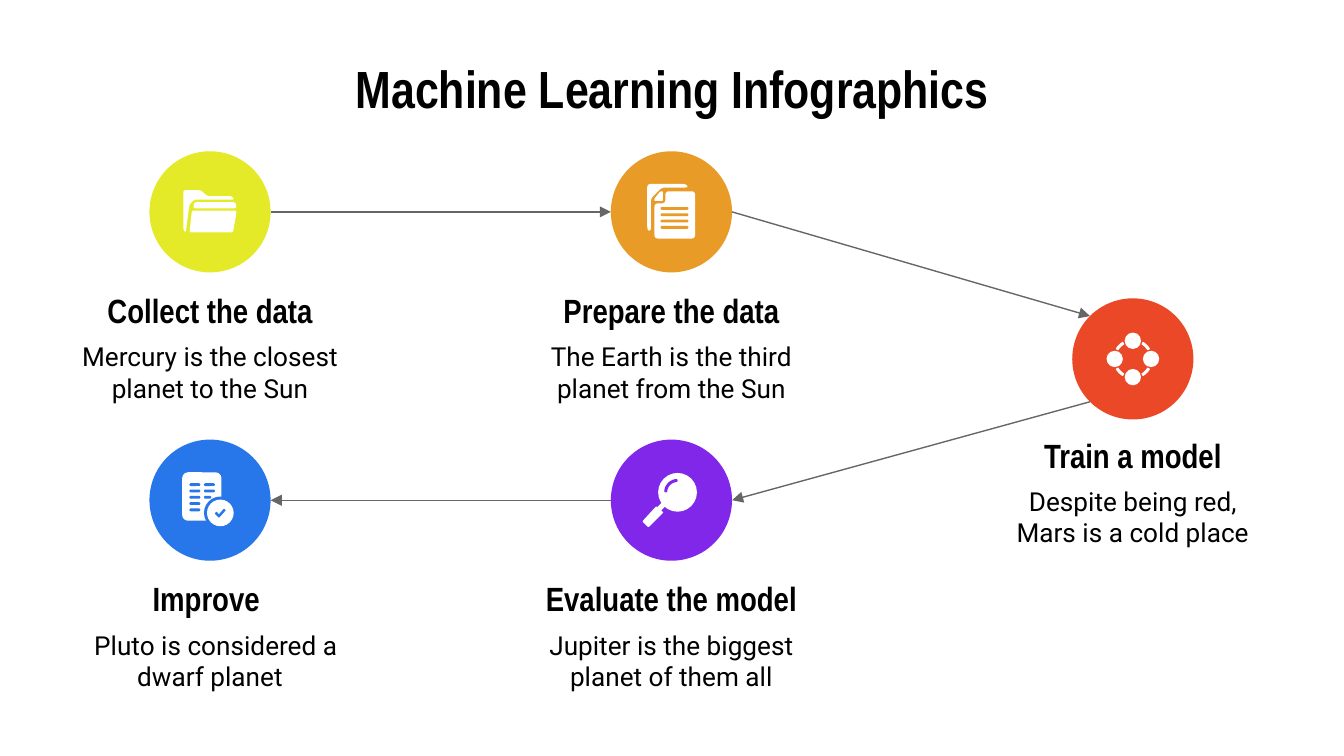
import math
from dataclasses import dataclass

import pptx
import pptx.dml.color
import pptx.enum.shapes
import pptx.enum.text
import pptx.oxml.ns
import pptx.util
from lxml import etree

Cm = pptx.util.Cm
Pt = pptx.util.Pt
MSO = pptx.enum.shapes.MSO_SHAPE
ALIGN = pptx.enum.text.PP_ALIGN
ANCHOR = pptx.enum.text.MSO_ANCHOR


@dataclass(frozen=True)
class Theme:
    ink: str = "000000"
    white: str = "FFFFFF"
    line: str = "666666"
    yellow: str = "E4EA27"
    orange: str = "E99B27"
    red: str = "EA4827"
    purple: str = "8027EA"
    blue: str = "2776EA"
    line_width: float = 0.75


THEME = Theme()
TITLE = {"name": "Arial Narrow", "size": Pt(28), "bold": True}
HEADING = {"name": "Arial Narrow", "size": Pt(18), "bold": True}
BODY = {"name": "Roboto", "size": Pt(14), "bold": False}

BADGE = 2.29
STEP_WIDTH = 5.4
COLUMNS = [1.27 + 8.72 * i for i in range(3)]
TOP_ROW, MIDDLE_ROW, BOTTOM_ROW = 2.86, 5.64, 8.31


def rgb(value):
    return pptx.dml.color.RGBColor.from_string(value)


def paint(shape, color):
    shape.shadow.inherit = False
    shape.fill.solid()
    shape.fill.fore_color.rgb = rgb(color)
    shape.line.fill.background()


def add_text(s, box, text, font, indent=0):
    tb = s.shapes.add_textbox(*map(Cm, box))
    tf = tb.text_frame
    frame = {"word_wrap": True, "vertical_anchor": ANCHOR.MIDDLE}
    frame.update({f"margin_{side}": Cm(0.25) for side in ("left", "top", "right", "bottom")})
    for key, value in frame.items():
        setattr(tf, key, value)
    p = tf.paragraphs[0]
    p.alignment = ALIGN.CENTER
    if indent:
        p._p.get_or_add_pPr().set("indent", str(Cm(indent)))
    r = p.add_run()
    r.text = text
    for key, value in font.items():
        setattr(r.font, key, value)
    r.font.color.rgb = rgb(THEME.ink)


def add_part(s, badge, kind, box, color, radius=None):
    """Preset shape whose box is in percent of the badge."""
    x, y, d = badge
    left, top, width, height = (v * d / 100 for v in box)
    sp = s.shapes.add_shape(kind, Cm(x + left), Cm(y + top), Cm(width), Cm(height))
    if radius is not None:
        sp.adjustments[0] = radius
    paint(sp, color)


def add_disc(s, badge, cx, cy, size, color):
    add_part(s, badge, MSO.OVAL, (cx - size / 2, cy - size / 2, size, size), color)


def add_bar(s, badge, left, top, width, color):
    add_part(s, badge, MSO.ROUNDED_RECTANGLE, (left, top, width, 2.3), color, 0.5)


def round_corners(points, radius):
    """Replace each corner by a short curve that starts radius away from it."""
    curve = []
    for i, corner in enumerate(points):
        ends = []
        for other in (points[i - 1], points[(i + 1) % len(points)]):
            t = min(0.5, radius / math.dist(corner, other))
            ends.append([c + (o - c) * t for c, o in zip(corner, other)])
        for t in (0, 0.25, 0.5, 0.75, 1):
            curve.append([a * (1 - t) ** 2 + 2 * c * t * (1 - t) + b * t * t
                          for a, c, b in zip(ends[0], corner, ends[1])])
    return curve


def add_outline(s, badge, points, color, radius=1):
    """Closed outline with points in percent of the badge."""
    x, y, d = badge
    spots = [(Cm(x + px * d / 100), Cm(y + py * d / 100))
             for px, py in round_corners(points, radius)]
    fb = s.shapes.build_freeform(*spots[0])
    fb.add_line_segments(spots[1:], close=True)
    paint(fb.convert_to_shape(), color)


def add_arc(s, badge, center, inner, outer, start, color, sweep):
    angles = [math.radians(start + sweep * i / 8) for i in range(9)]
    points = [(center[0] + r * math.cos(a), center[1] + r * math.sin(a))
              for r, side in ((outer, angles), (inner, angles[::-1])) for a in side]
    add_outline(s, badge, points, color)


def folder_icon(s, badge, color):
    back = [(28, 32), (42, 32), (48, 37), (68, 37), (70, 40),
            (37, 40), (33, 44), (30, 67), (28, 65)]
    for points in (back, [(36, 47), (37, 42), (71, 42), (72, 47)],
                   [(35, 49), (33, 67), (69, 67), (72, 49)]):
        add_outline(s, badge, points, THEME.white, 2)


def document_icon(s, badge, color):
    back = [(30, 27), (62, 27), (64, 30), (42, 30), (33, 39), (33, 66), (30, 65)]
    front = [(45, 33), (69.5, 33), (69.5, 72), (36, 72), (36, 43), (45, 43)]
    fold = [(43, 33), (43, 41), (36, 41), (36, 39), (41, 33)]
    for points, radius in ((back, 3), (front, 3), (fold, 1)):
        add_outline(s, badge, points, THEME.white, radius)
    for i in range(4):
        add_bar(s, badge, 41, 46 + 5.2 * i, 23, color)


def network_icon(s, badge, color):
    for cx, cy in ((50, 35), (65, 50), (50, 65), (35, 50)):
        add_disc(s, badge, cx, cy, 13.5, THEME.white)
    for start in range(30, 360, 90):
        add_arc(s, badge, (50, 50), 14, 16.5, start, THEME.white, 30)


def magnifier_icon(s, badge, color):
    lens = (55, 43.5)
    add_outline(s, badge, [(38, 56), (43, 51), (46, 54), (41, 59)], THEME.white)
    add_outline(s, badge, [(26, 67.5), (37.5, 55), (43.5, 60), (31, 72.5)], THEME.white)
    add_disc(s, badge, *lens, 32, THEME.white)
    add_arc(s, badge, lens, 8.5, 11, 180, color, 90)


def report_icon(s, badge, color):
    add_part(s, badge, MSO.ROUNDED_RECTANGLE, (27, 27, 32.5, 40), THEME.white, 0.15)
    for i, right_width in enumerate((9, 9, 6, 0, 0)):
        top = 36 + 5.2 * i
        add_bar(s, badge, 33, top, 9, color)
        if right_width:
            add_bar(s, badge, 45, top, right_width, color)
    add_disc(s, badge, 58.5, 60.5, 27, color)
    add_disc(s, badge, 58.5, 60.5, 22, THEME.white)
    check = [(53.8, 61), (55.3, 59.5), (57.3, 61.7), (61.5, 57), (63, 58.4), (57.4, 64.6)]
    add_outline(s, badge, check, color, 0.5)


# column, top, colour, icon, heading, description, text offset, first-line indent
STEPS = [
    (0, TOP_ROW, THEME.yellow, folder_icon, "Collect the data",
     "Mercury is the closest planet to the Sun", 2.55, 0),
    (1, TOP_ROW, THEME.orange, document_icon, "Prepare the data",
     "The Earth is the third planet from the Sun", 2.55, 0),
    (2, MIDDLE_ROW, THEME.red, network_icon, "Train a model",
     "Despite being red, Mars is a cold place", 2.5, 0),
    (1, BOTTOM_ROW, THEME.purple, magnifier_icon, "Evaluate the model",
     "Jupiter is the biggest planet of them all", 2.55, 0),
    (0, BOTTOM_ROW, THEME.blue, report_icon, "Improve ",
     "Pluto is considered a dwarf planet", 2.55, 0.22),
]
# angles, clockwise from the right, where each arrow leaves and enters a badge
ARROW_ANGLES = [(0, 180), (0, 225), (135, 0), (180, 0)]


def add_step(s, left, top, color, icon, heading, body, text_offset, indent):
    """Draw one step and return its badge as (left, top, diameter)."""
    badge = (left + (STEP_WIDTH - BADGE) / 2, top, BADGE)
    add_part(s, badge, MSO.OVAL, (0, 0, 100, 100), color)
    icon(s, badge, color)
    text_top = top + text_offset
    add_text(s, (left, text_top, STEP_WIDTH, 0.91), heading, HEADING)
    add_text(s, (left, text_top + 0.95, STEP_WIDTH, 1.35), body, BODY, indent)
    return badge


def rim_point(badge, angle):
    x, y, d = badge
    a = math.radians(angle)
    return Cm(x + d / 2 * (1 + math.cos(a))), Cm(y + d / 2 * (1 + math.sin(a)))


def add_arrow(s, start, end):
    cx = s.shapes.add_connector(pptx.enum.shapes.MSO_CONNECTOR.STRAIGHT, *start, *end)
    cx.line.color.rgb = rgb(THEME.line)
    cx.line.width = Pt(THEME.line_width)
    qn = pptx.oxml.ns.qn
    etree.SubElement(cx.line._get_or_add_ln(), qn("a:tailEnd"), type="triangle")
    etree.SubElement(cx._element.spPr, qn("a:effectLst"))


def main():
    prs = pptx.Presentation()
    prs.slide_width, prs.slide_height = Cm(25.4), Cm(14.29)
    s = prs.slides.add_slide(prs.slide_layouts[6])
    add_text(s, (1.27, 1.14, 22.86, 1.04), "Machine Learning Infographics", TITLE)
    badges = [add_step(s, COLUMNS[column], *rest) for column, *rest in STEPS]
    for a, b, (leave, enter) in zip(badges, badges[1:], ARROW_ANGLES):
        add_arrow(s, rim_point(a, leave), rim_point(b, enter))
    prs.save("out.pptx")


if __name__ == "__main__":
    main()
